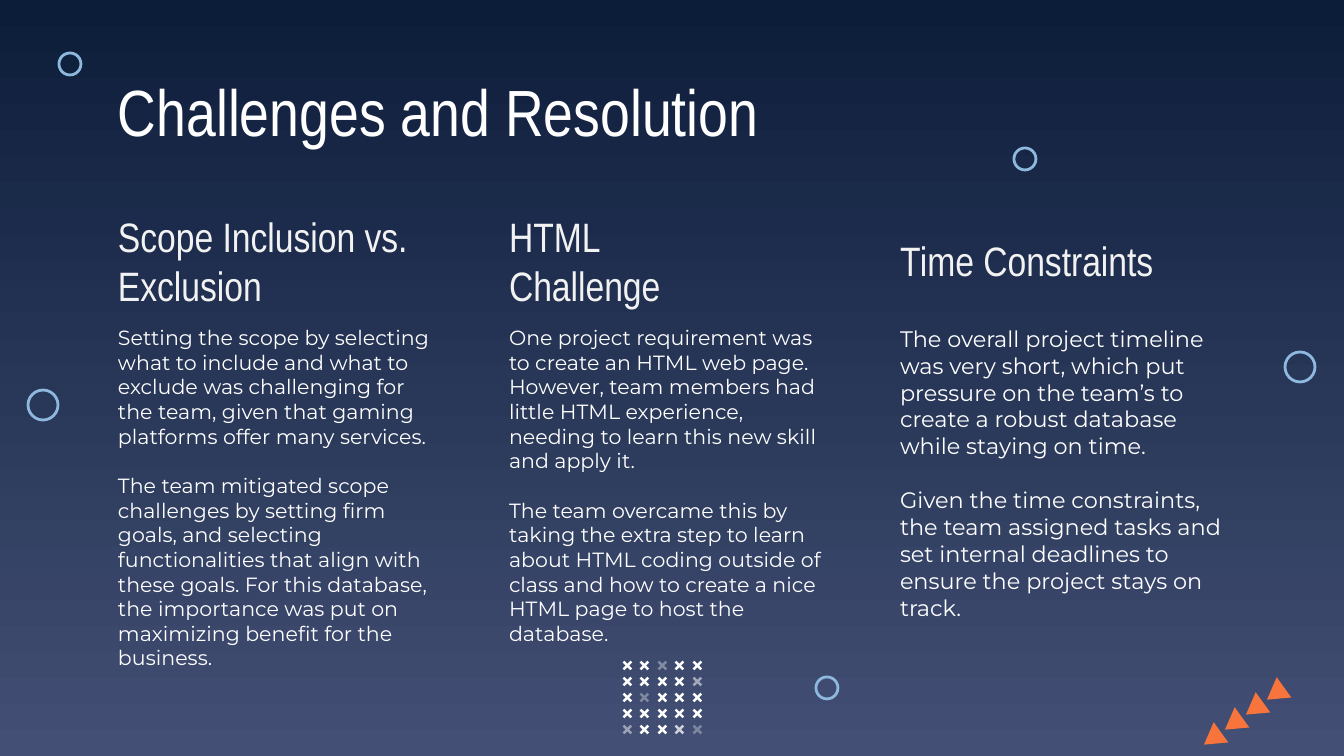
from lxml.etree import SubElement
from pptx import Presentation
from pptx.dml.color import RGBColor
from pptx.enum.shapes import MSO_SHAPE
from pptx.enum.text import MSO_ANCHOR, PP_ALIGN
from pptx.oxml.ns import qn
from pptx.util import Emu, Pt

PX_PER_INCH = 134.4
WHITE, OFF_WHITE = "FFFFFF", "F2F2F2"
ORANGE, SKY = "F7743C", "8EB8DE"
HEADING_FONT, BODY_FONT = "Arial Narrow", "Montserrat"

# left, heading width, heading lines, body size, body paragraphs
COLUMNS = [
    (105, 340, ["Scope Inclusion vs. Exclusion"], 11, [
        "Setting the scope by selecting what to include and what to exclude was "
        "challenging for the team, given that gaming platforms offer many services.",
        "The team mitigated scope challenges by setting firm goals, and selecting "
        "functionalities that align with these goals. For this database, the "
        "importance was put on maximizing benefit for the business."]),
    (496, 286, ["HTML", "Challenge"], 11, [
        "One project requirement was to create an HTML web page. However, team "
        "members had little HTML experience, needing to learn this new skill and "
        "apply it.",
        "The team overcame this by taking the extra step to learn about HTML coding "
        "outside of class and how to create a nice HTML page to host the database."]),
    (887, 286, ["Time Constraints"], 12, [
        "The overall project timeline was very short, which put pressure on the "
        "team’s to create a robust database while staying on time.",
        "Given the time constraints, the team assigned tasks and set internal "
        "deadlines to ensure the project stays on track."]),
]

# left, top, diameter
RINGS = [(59, 53, 22), (1285, 352, 30), (28, 390, 30), (816, 677, 22), (1014, 148, 22)]

# opacity in percent of the faded crosses, by (row, column)
FADED = {(0, 2): 36, (1, 4): 53, (2, 1): 34, (4, 0): 48, (4, 3): 75, (4, 4): 33}


def px(length):
    return Emu(round(length * 914400 / PX_PER_INCH))


def color(value):
    return RGBColor.from_string(value)


def paint_background(slide):
    fill = slide.background.fill
    fill.gradient()
    fill.gradient_angle = 270
    for stop, value in zip(fill.gradient_stops, ("0C1D3A", "434F74")):
        stop.color.rgb = color(value)


def add_text(slide, box, paragraphs, font, size, value,
             anchor=MSO_ANCHOR.TOP, gap=0):
    frame = slide.shapes.add_textbox(*map(px, box)).text_frame
    frame.word_wrap = True
    frame.vertical_anchor = anchor
    frame.margin_left = frame.margin_right = px(13)
    frame.margin_top = frame.margin_bottom = px(13)
    frame.text = "\n".join(paragraphs)
    for index, paragraph in enumerate(frame.paragraphs):
        paragraph.alignment = PP_ALIGN.LEFT
        paragraph.space_before = Pt(gap if index else 0)
        paragraph.font.name = font
        paragraph.font.size = Pt(size)
        paragraph.font.color.rgb = color(value)


def add_ornament(group, kind, box, fill=None, line=None, rotation=0, opacity=100):
    ornament = group.shapes.add_shape(kind, *map(px, box))
    ornament.shadow.inherit = False
    ornament.rotation = rotation
    if fill:
        ornament.fill.solid()
        ornament.fill.fore_color.rgb = color(fill)
    else:
        ornament.fill.background()
    if line:
        ornament.line.color.rgb = color(line)
        ornament.line.width = Pt(1.5)
    else:
        ornament.line.fill.background()
    if opacity < 100:
        rgb = ornament.fill._xPr.find(qn("a:solidFill"))[0]
        SubElement(rgb, qn("a:alpha"), val=str(opacity * 1000))
    return ornament


def add_triangles(slide):
    group = slide.shapes.add_group_shape()
    for step in range(4):
        add_ornament(group, MSO_SHAPE.ISOSCELES_TRIANGLE,
                     (1263 - 21 * step, 683 - -15 * step, 25, 21),
                     fill=ORANGE, rotation=234.2)


def add_rings(slide):
    group = slide.shapes.add_group_shape()
    for left, top, diameter in RINGS:
        add_ornament(group, MSO_SHAPE.OVAL, (left, top, diameter, diameter), line=SKY)


def add_crosses(slide):
    group = slide.shapes.add_group_shape()
    for row in range(5):
        for column in range(5):
            cross = add_ornament(group, MSO_SHAPE.CROSS,
                                 (622 + 35 * column // 2, 660 + 16 * row, 11, 11),
                                 fill=WHITE, rotation=315,
                                 opacity=FADED.get((row, column), 100))
            cross.adjustments[0] = 0.39


def main():
    presentation = Presentation()
    presentation.slide_width, presentation.slide_height = px(1344), px(756)
    slide = presentation.slides.add_slide(presentation.slide_layouts[6])
    paint_background(slide)

    # Title
    add_text(slide, (105, 58, 1133, 86), ["Challenges and Resolution"],
             HEADING_FONT, 35, WHITE)

    # Decoration
    add_triangles(slide)
    add_rings(slide)
    add_crosses(slide)

    # Challenge columns, with one body line between paragraphs
    for left, width, heading, size, body in COLUMNS:
        add_text(slide, (left, 212, width, 97), heading, HEADING_FONT, 22,
                 OFF_WHITE, anchor=MSO_ANCHOR.MIDDLE)
        add_text(slide, (left, 312, 351, 331), body, BODY_FONT, size, WHITE,
                 gap=1.2 * size)

    presentation.save("out.pptx")


if __name__ == "__main__":
    main()
